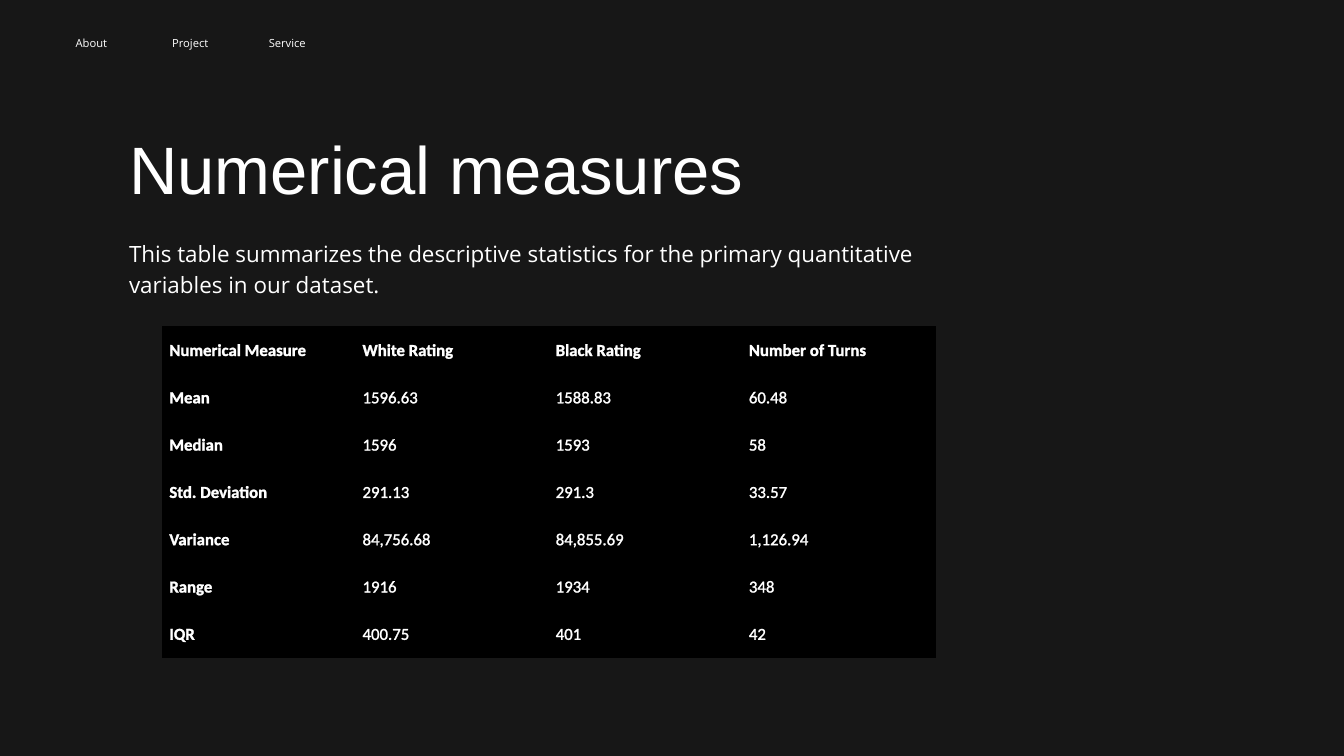
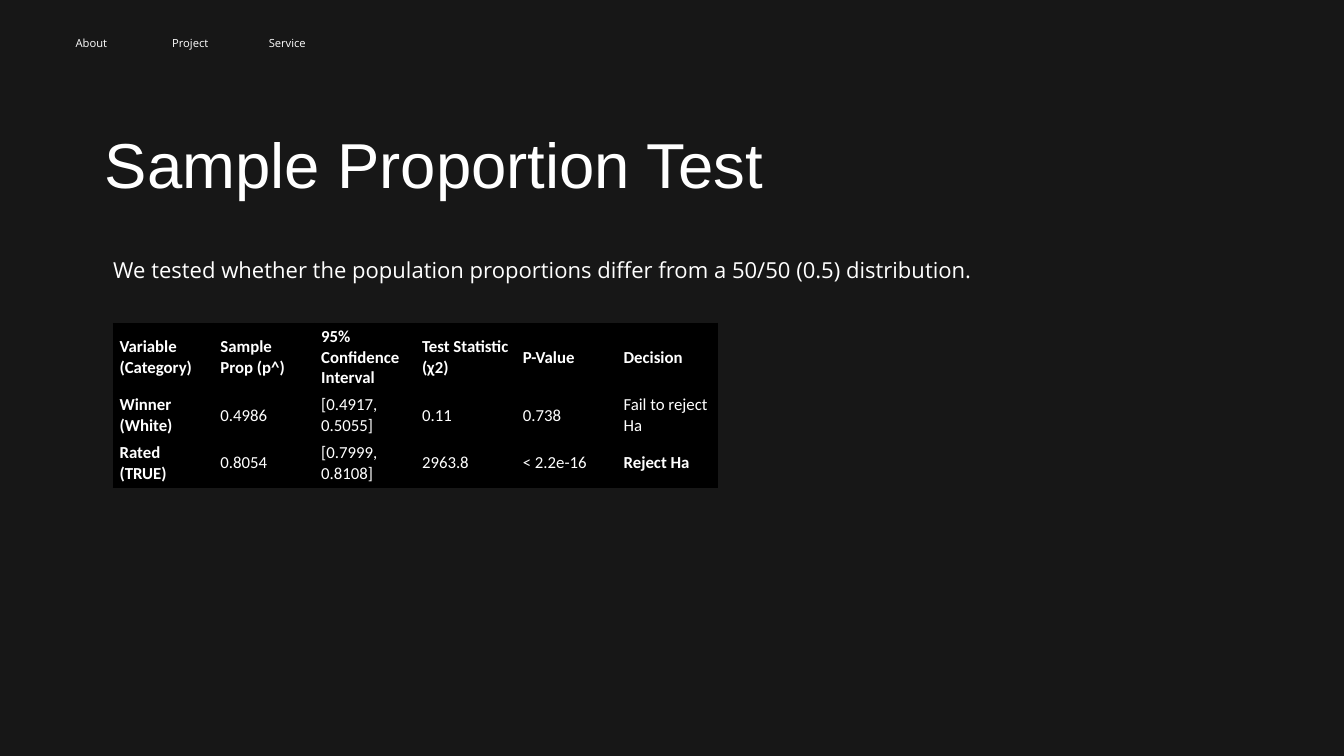
from lxml import etree
from pptx import Presentation
from pptx import util as u
from pptx.dml.color import RGBColor
from pptx.enum import text
from pptx.oxml import ns

COLUMNS, ROWS = 160, 90
BACKDROP, WHITE, BLACK = "171717", "FFFFFF", "000000"
NAV = ["About", "Project", "Service"]

MEASURES = [
    ["Numerical Measure", "White Rating", "Black Rating", "Number of Turns"],
    ["Mean", "1596.63", "1588.83", "60.48"],
    ["Median", "1596", "1593", "58"],
    ["Std. Deviation", "291.13", "291.3", "33.57"],
    ["Variance", "84,756.68", "84,855.69", "1,126.94"],
    ["Range", "1916", "1934", "348"],
    ["IQR", "400.75", "401", "42"],
]
PROPORTIONS = [
    ["Variable (Category)", "Sample Prop (p^)", "95% Confidence Interval",
     "Test Statistic (χ2)", "P-Value", "Decision"],
    ["Winner (White)", "0.4986", "[0.4917, 0.5055]", "0.11", "0.738", "Fail to reject Ha"],
    ["Rated (TRUE)", "0.8054", "[0.7999, 0.8108]", "2963.8", "< 2.2e-16", "Reject Ha"],
]


def rgb(color):
    return RGBColor.from_string(color)


def assign(target, values):
    for name, value in values.items():
        setattr(target, name, value)


def line_xml(tag, color, points):
    ln = etree.Element(ns.qn(tag), w=str(int(u.Pt(points))))
    fill = etree.SubElement(ln, ns.qn("a:solidFill"))
    etree.SubElement(fill, ns.qn("a:srgbClr"), val=color)
    return ln


class Deck:
    """Dark slides with a navigation row, a title, a lead sentence and a table."""

    frame_style = dict(margin_left=0, margin_right=0, margin_top=0, margin_bottom=0,
                       word_wrap=True, auto_size=text.MSO_AUTO_SIZE.NONE,
                       vertical_anchor=text.MSO_ANCHOR.TOP)

    def __init__(self):
        self.prs = Presentation()
        assign(self.prs, dict(slide_width=u.Inches(20), slide_height=u.Inches(11.25)))
        fill = self.prs.slide_master.background.fill
        fill.solid()
        fill.fore_color.rgb = rgb(BACKDROP)

    def box(self, column, row, width, height):
        x, y = self.prs.slide_width / COLUMNS, self.prs.slide_height / ROWS
        return [int(column * x), int(row * y), int(width * x), int(height * y)]

    def style_font(self, font, name, size, bold=False):
        assign(font, dict(name=name, size=u.Pt(size), bold=bold))
        font.color.rgb = rgb(WHITE)

    def add_text(self, sp, content, name, size, spacing, align=text.PP_ALIGN.LEFT):
        tf = sp.text_frame
        assign(tf, self.frame_style)
        p = tf.paragraphs[0]
        assign(p, dict(alignment=align, line_spacing=u.Pt(spacing), space_before=u.Pt(0)))
        r = p.add_run()
        r.text = content
        self.style_font(r.font, name, size)
        return p

    def place(self, sp, area):
        assign(sp, dict(zip(("left", "top", "width", "height"), self.box(*area))))

    def new_slide(self):
        self.s = self.prs.slides.add_slide(self.prs.slide_layouts[1])
        for i, label in enumerate(NAV):
            sp = self.s.shapes.add_textbox(*self.box(9 + 11.5 * i, 4.08, 9, 1.92))
            self.add_text(sp, label, "Open Sans", 12, 16.8)

    def title(self, content, area, size):
        sp = self.s.shapes.title
        self.place(sp, area)
        self.add_text(sp, content, "Arial", size, 71.8)

    def lead(self, content, area, size, align=text.PP_ALIGN.LEFT):
        sp = self.s.placeholders[1]
        self.place(sp, area)
        p = self.add_text(sp, content, "Open Sans", size, size * 1.4, align)
        pPr = p._p.get_or_add_pPr()
        pPr.set("marL", "0")
        pPr.set("indent", "0")
        etree.SubElement(pPr, ns.qn("a:buNone"))

    def table(self, data, area, heights, emphasis=(), outline=0):
        frame = self.s.shapes.add_table(len(data), len(data[0]), *self.box(*area))
        tbl = frame.table
        assign(tbl, dict(first_row=False, horz_banding=False))
        for row, height in zip(tbl.rows, heights):
            row.height = self.box(0, 0, 0, height)[3]
        for i, values in enumerate(data):
            for j, value in enumerate(values):
                bold = i == 0 or j == 0 or value in emphasis
                self.cell(tbl.cell(i, j), value, bold, outline)

    def cell(self, cell, value, bold, outline):
        cell.vertical_anchor = text.MSO_ANCHOR.MIDDLE
        cell.fill.solid()
        cell.fill.fore_color.rgb = rgb(BLACK)
        tcPr = cell._tc.get_or_add_tcPr()
        for i, side in enumerate("LRTB"):
            tcPr.insert(i, line_xml("a:ln" + side, BLACK, 0.6))
        r = cell.text_frame.paragraphs[0].add_run()
        r.text = value
        self.style_font(r.font, "Calibri", 18, bold)
        if outline:
            r._r.get_or_add_rPr().insert(0, line_xml("a:ln", WHITE, outline))


def main():
    deck = Deck()

    deck.new_slide()
    deck.title("Numerical measures", (15.36, 16.8, 97.6, 7.04), 71.8)
    deck.lead("This table summarizes the descriptive statistics for the primary "
              "quantitative variables in our dataset.", (15.36, 28, 93.76, 7.44), 24)
    deck.table(MEASURES, (19.36, 38.88, 92, 39.44), [39.44 / 7] * 7, outline=0.75)

    deck.new_slide()
    deck.title("Sample Proportion Test", (12.48, 15.92, 100.88, 8.16), 68)
    deck.lead("We tested whether the population proportions differ from a 50/50 (0.5) "
              "distribution.", (13.44, 30, 102.32, 4), 23.6, text.PP_ALIGN.CENTER)
    deck.table(PROPORTIONS, (13.44, 38.48, 72, 19.2), [8, 5.6, 5.6], emphasis=("Reject Ha",))

    deck.prs.save("out.pptx")


if __name__ == "__main__":
    main()
